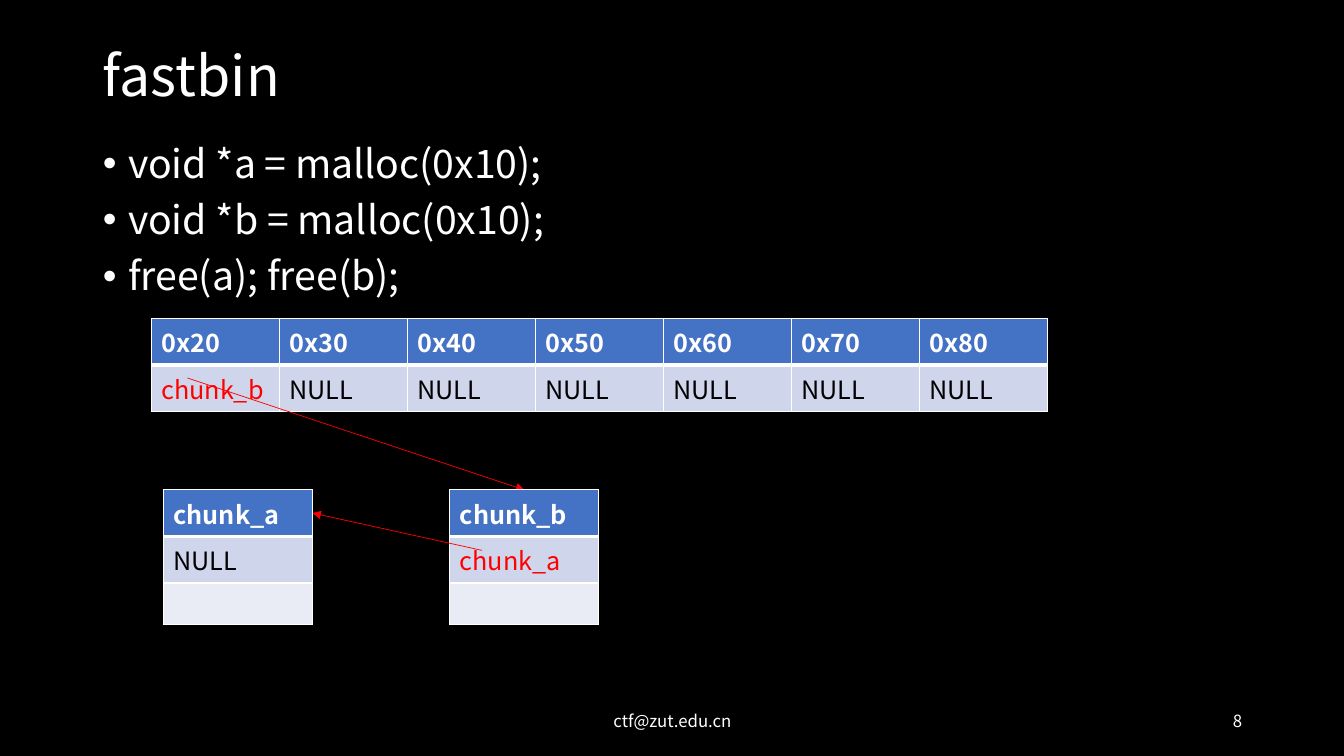
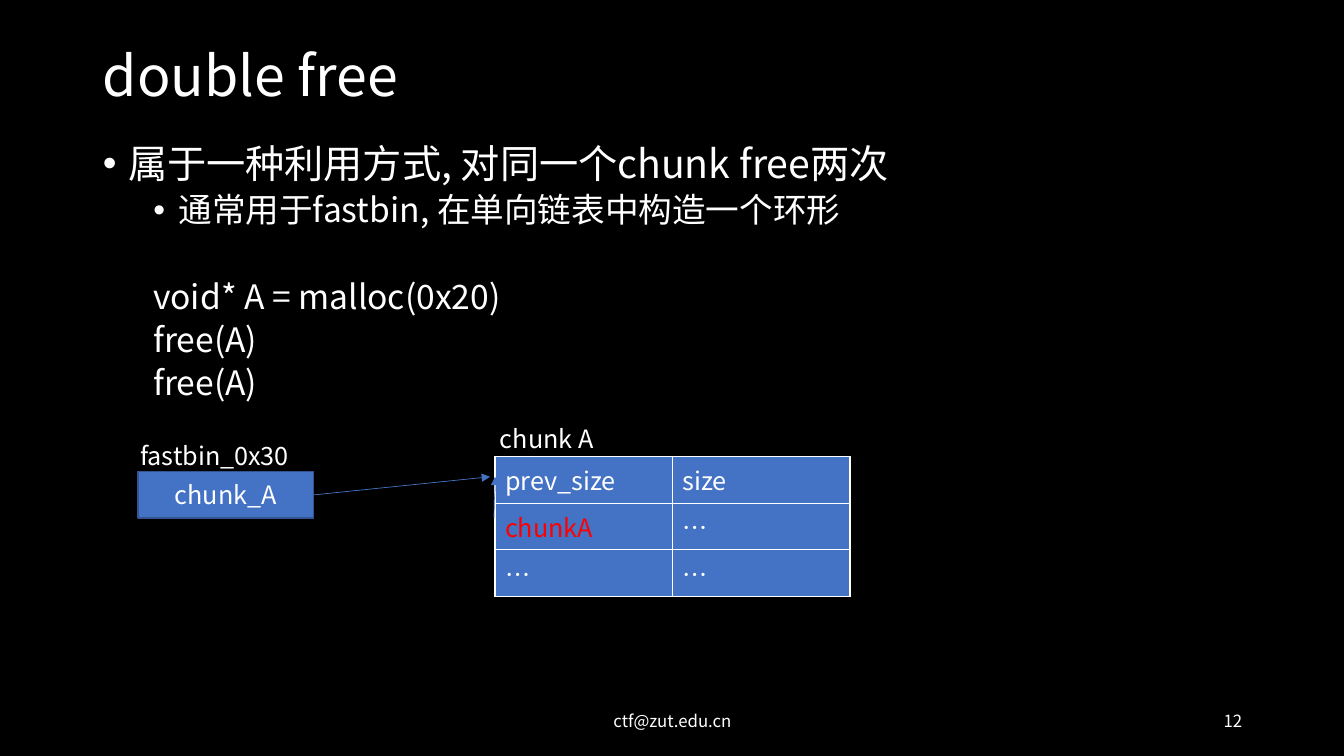
from dataclasses import dataclass

from lxml import etree
from pptx import Presentation
from pptx import util as u
from pptx.dml.color import RGBColor
from pptx.enum import shapes, text
from pptx.oxml.ns import qn

PX = 9144  # 100 px to the inch


@dataclass(frozen=True)
class Theme:
    font: str = "Noto Sans CJK SC"
    back: str = "000000"
    ink: str = "FFFFFF"
    dark: str = "000000"
    hot: str = "FF0000"
    blue: str = "4472C4"
    edge: str = "325491"
    band: str = "CFD5EA"
    pale: str = "E9EBF5"
    title: float = 39.6
    list: int = 28
    sub: int = 24
    body: int = 18
    foot: int = 12
    thin: int = 1
    thick: int = 3
    arrow: float = 0.5


T = Theme()
LEFT, MID, RIGHT = text.PP_ALIGN.LEFT, text.PP_ALIGN.CENTER, text.PP_ALIGN.RIGHT
TOP, CENTRE = text.MSO_ANCHOR.TOP, text.MSO_ANCHOR.MIDDLE
LINE, CURVE = shapes.MSO_CONNECTOR.STRAIGHT, shapes.MSO_CONNECTOR.CURVE

SIZE = (1333, 750)
TITLE = (92, 40, 1150, 75)
FOOT = (442, 695, 450, 40)
PAGE = (942, 695, 300, 40)
MAIL = "ctf@zut.edu.cn"
ROW = 41

# style: size, left margin, first-line indent, space before, bullet
STYLES = {
    "item": (T.list, 25, -25, 10, "•"),
    "sub": (T.sub, 75, -25, 5, "•"),
    "first": (T.sub, 50, 0, 36, None),
    "code": (T.sub, 50, 0, 5, None),
}

# Parts run from back to front. Table: left, top, column width, header?,
# rows, red cell. Arrow: kind, from x, from y, to x, to y, colour, turn.
SLIDES = [
    {
        "title": "fastbin",
        "page": "8",
        "tall": 178,
        "list": [
            ("item", "void *a = malloc(0x10);"),
            ("item", "void *b = malloc(0x10);"),
            ("item", "free(a); free(b);"),
        ],
        "parts": [
            ("table", 150, 316, 127, True,
             [[f"0x{n}0" for n in range(2, 9)], ["chunk_b"] + ["NULL"] * 6],
             (1, 0)),
            ("table", 162, 486, 148, True, [["chunk_a"], ["NULL"], [""]], None),
            ("arrow", LINE, 186, 375, 520, 486, T.hot, 0),
            ("table", 446, 486, 148, True, [["chunk_b"], ["chunk_a"], [""]],
             (1, 0)),
            ("arrow", LINE, 478, 546, 310, 509, T.hot, 0),
        ],
    },
    {
        "title": "double free",
        "page": "12",
        "tall": 537,
        "list": [
            ("item", "属于一种利用方式, 对同一个chunk free两次"),
            ("sub", "通常用于fastbin, 在单向链表中构造一个环形"),
            ("first", "void* A = malloc(0x20)"),
            ("code", "free(A)"),
            ("code", "free(A)"),
        ],
        "parts": [
            ("box", (137, 468, 174, 46), "chunk_A"),
            ("arrow", LINE, 311, 491, 486, 473, T.blue, 0),
            ("table", 491, 453, 176, False,
             [["prev_size", "size"], ["chunkA", "…"], ["…", "…"]], (1, 0)),
            ("label", (486, 415, 181, 40), "chunk A"),
            ("label", (129, 432, 181, 40), "fastbin_0x30"),
            ("arrow", CURVE, 511, 494, 470, 493, T.blue, 90),
        ],
    },
]


def rgb(code):
    return RGBColor.from_string(code)


def emu(at):
    return [n * PX for n in at]


def paint(fill, code):
    fill.solid()
    fill.fore_color.rgb = rgb(code)


def add_run(para, words, size=T.body, ink=T.ink, bold=False):
    run = para.add_run()
    run.text = words
    font = run.font
    font.size, font.bold, font.name = u.Pt(size), bold, T.font
    font.color.rgb = rgb(ink)
    props = run._r.get_or_add_rPr()
    etree.SubElement(props, qn("a:ea")).set("typeface", T.font)


def write(shape, words, size=T.body, align=LEFT, anchor=TOP):
    frame = shape.text_frame
    frame.word_wrap = True
    frame.auto_size = text.MSO_AUTO_SIZE.NONE
    frame.vertical_anchor = anchor
    para = frame.paragraphs[0]
    para.alignment = align
    add_run(para, words, size)
    return para


def add_label(slide, at, words, *look):
    write(slide.shapes.add_textbox(*emu(at)), words, *look)


def add_box(slide, at, words):
    box = slide.shapes.add_shape(shapes.MSO_SHAPE.RECTANGLE, *emu(at))
    box.shadow.inherit = False
    paint(box.fill, T.blue)
    box.line.color.rgb = rgb(T.edge)
    box.line.width = u.Pt(T.thin)
    write(box, words, T.body, MID, CENTRE)


def add_arrow(slide, kind, x1, y1, x2, y2, ink, turn):
    arrow = slide.shapes.add_connector(kind, *emu((x1, y1, x2, y2)))
    arrow.line.color.rgb = rgb(ink)
    arrow.line.width = u.Pt(T.arrow)
    line = arrow.line._get_or_add_ln()
    etree.SubElement(line, qn("a:tailEnd")).set("type", "triangle")
    props = arrow._element.spPr
    etree.SubElement(props, qn("a:effectLst"))
    if turn:
        props.find(qn("a:xfrm")).set("rot", str(turn * 60000))


def rule(cell, **wide):
    """Draw the cell's borders; wide overrides the width of a side."""
    props = cell._tc.get_or_add_tcPr()
    for side in "LRTB":
        line = etree.SubElement(props, qn("a:ln" + side))
        line.set("w", str(u.Pt(wide.get(side, T.thin))))
        fill = etree.SubElement(line, qn("a:solidFill"))
        etree.SubElement(fill, qn("a:srgbClr")).set("val", T.ink)


def add_table(slide, left, top, wide, head, rows, red):
    high, cols = len(rows), len(rows[0])
    at = emu((left, top, wide * cols, ROW * high))
    table = slide.shapes.add_table(high, cols, *at).table
    table.first_row, table.horz_banding = head, False
    fills = (T.blue, T.band, T.pale) if head else (T.blue,) * high
    for r, row in enumerate(rows):
        table.rows[r].height = ROW * PX
        for c, words in enumerate(row):
            cell = table.cell(r, c)
            top_row = head and r == 0
            rule(cell, B=T.thick if top_row else T.thin,
                 T=T.thick if head and r == 1 else T.thin)
            paint(cell.fill, fills[r])
            ink = T.dark if head and r else T.ink
            add_run(cell.text_frame.paragraphs[0], words,
                    ink=T.hot if (r, c) == red else ink, bold=top_row)


def add_list(body, items):
    frame = body.text_frame
    frame.auto_size = text.MSO_AUTO_SIZE.NONE
    for n, (style, words) in enumerate(items):
        size, margin, indent, gap, mark = STYLES[style]
        para = frame.add_paragraph() if n else frame.paragraphs[0]
        para.level = 0 if style == "item" else 1
        para.line_spacing, para.space_before = 0.9, u.Pt(gap)
        props = para._p.get_or_add_pPr()
        props.set("marL", str(margin * PX))
        props.set("indent", str(indent * PX))
        if mark:
            etree.SubElement(props, qn("a:buChar")).set("char", mark)
        else:
            etree.SubElement(props, qn("a:buNone"))
        add_run(para, words, size)


def place(shape, at):
    shape.left, shape.top, shape.width, shape.height = emu(at)


DRAW = {"table": add_table, "arrow": add_arrow, "box": add_box,
        "label": add_label}


def add_slide(deck, data):
    slide = deck.slides.add_slide(deck.slide_layouts[1])
    title, body = slide.placeholders
    place(title, TITLE)
    write(title, data["title"], T.title, LEFT, CENTRE).line_spacing = 0.9
    place(body, (92, 138, 1150, data["tall"]))
    add_list(body, data["list"])
    add_label(slide, FOOT, MAIL, T.foot, MID, CENTRE)
    add_label(slide, PAGE, data["page"], T.foot, RIGHT, CENTRE)
    for kind, *args in data["parts"]:
        DRAW[kind](slide, *args)


def main():
    deck = Presentation()
    deck.slide_width, deck.slide_height = emu(SIZE)
    paint(deck.slide_master.background.fill, T.back)
    for data in SLIDES:
        add_slide(deck, data)
    deck.save("out.pptx")


if __name__ == "__main__":
    main()
